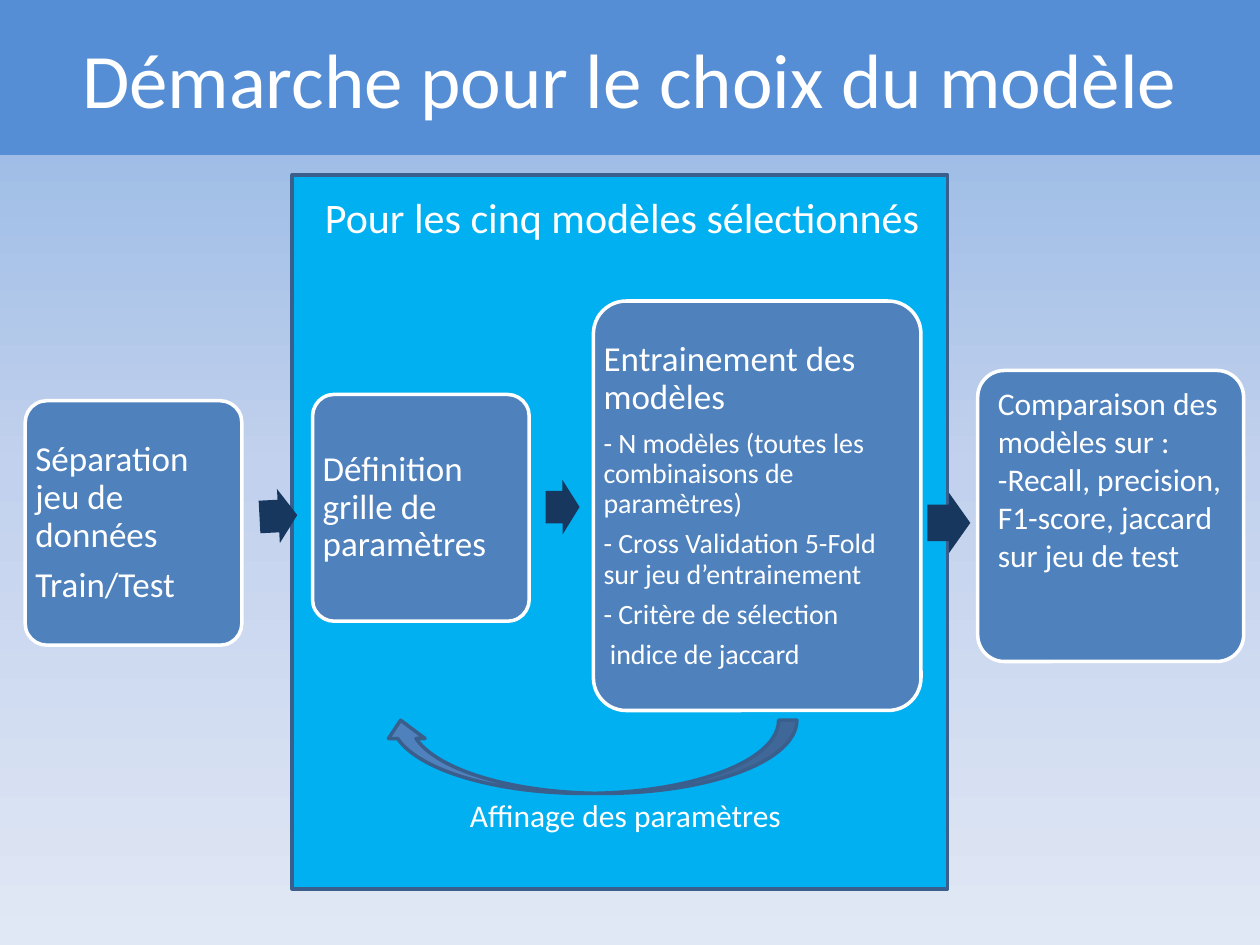
from copy import deepcopy

from pptx import Presentation
from pptx.dml.color import RGBColor
from pptx.enum.shapes import MSO_SHAPE
from pptx.enum.text import MSO_ANCHOR, MSO_AUTO_SIZE, PP_ALIGN
from pptx.util import Pt

WHITE = RGBColor(0xFF, 0xFF, 0xFF)
BANNER_BLUE = RGBColor(0x55, 0x8E, 0xD5)
PANEL_BLUE = RGBColor(0x00, 0xB0, 0xF0)
BOX_BLUE = RGBColor(0x4F, 0x81, 0xBD)
OUTLINE_BLUE = RGBColor(0x3A, 0x5F, 0x8C)
ARROW_NAVY = RGBColor(0x17, 0x37, 0x5E)
SKY_COLORS = (
    RGBColor(0x8E, 0xB4, 0xE3),
    RGBColor(0xC2, 0xD1, 0xED),
    RGBColor(0xE1, 0xE8, 0xF5),
)
CORNER = 0.1
CORNER_TEXT_INSET = 0.29
STEP_MARGIN = 5.76


def write_text(frame, paragraphs, size, align=PP_ALIGN.LEFT, anchor=MSO_ANCHOR.TOP,
               line_spacing=1.0, after_ratio=0, detail_size=None):
    frame.word_wrap = True
    frame.auto_size = MSO_AUTO_SIZE.NONE
    frame.vertical_anchor = anchor
    for index, text in enumerate(paragraphs):
        paragraph = frame.add_paragraph() if index else frame.paragraphs[0]
        paragraph.text = text
        paragraph.alignment = align
        paragraph.line_spacing = line_spacing
        points = detail_size if index and detail_size else size
        paragraph.space_before = Pt(0)
        paragraph.space_after = Pt(after_ratio * points)
        for run in paragraph.runs:
            run.font.name = "Calibri"
            run.font.size = Pt(points)
            run.font.color.rgb = WHITE


class SlideBuilder:
    def __init__(self, slide, line_width=2):
        self.slide = slide
        self.line_width = line_width

    def background(self, colors):
        fill = self.slide.background.fill
        fill.gradient()
        fill.gradient_angle = 270
        first_stop = fill._fill._gradFill.gsLst[0]
        first_stop.addnext(deepcopy(first_stop))
        for index, (stop, color) in enumerate(zip(fill.gradient_stops, colors)):
            stop.position = index / (len(colors) - 1)
            stop.color.rgb = color

    def title(self, text, width, height):
        title = self.slide.shapes.title
        title.left, title.top, title.width, title.height = Pt(0), Pt(0), Pt(width), Pt(height)
        title.fill.solid()
        title.fill.fore_color.rgb = BANNER_BLUE
        write_text(title.text_frame, [text], 44, align=PP_ALIGN.CENTER, anchor=MSO_ANCHOR.MIDDLE)

    def shape(self, kind, left, top, width, height, fill, line=None, rotation=0):
        shape = self.slide.shapes.add_shape(kind, Pt(left), Pt(top), Pt(width), Pt(height))
        shape.shadow.inherit = False
        shape.rotation = rotation
        shape.fill.solid()
        shape.fill.fore_color.rgb = fill
        if line is None:
            shape.line.fill.background()
        else:
            shape.line.color.rgb = line
            shape.line.width = Pt(self.line_width)
        return shape

    def box(self, left, top, width, height, paragraphs, size, **text_format):
        box = self.shape(MSO_SHAPE.ROUNDED_RECTANGLE, left, top, width, height, BOX_BLUE, WHITE)
        box.adjustments[0] = CORNER
        write_text(box.text_frame, paragraphs, size, **text_format)
        return box

    def step(self, left, top, width, height, paragraphs):
        box = self.box(left, top, width, height, paragraphs, 20, anchor=MSO_ANCHOR.MIDDLE,
                       line_spacing=0.9, after_ratio=0.35,
                       detail_size=16 if len(paragraphs) > 2 else None)
        margin = Pt(max(0, STEP_MARGIN - CORNER_TEXT_INSET * CORNER * min(width, height)))
        frame = box.text_frame
        frame.margin_left = frame.margin_right = margin
        frame.margin_top = frame.margin_bottom = margin

    def arrow(self, left, top, width, height, rotation=0):
        arrow = self.shape(MSO_SHAPE.RIGHT_ARROW, left, top, width, height, ARROW_NAVY,
                           rotation=rotation)
        arrow.adjustments[0] = 0.6
        arrow.adjustments[1] = 0.5

    def label(self, text, left, top, width, height, size, **text_format):
        label = self.slide.shapes.add_textbox(Pt(left), Pt(top), Pt(width), Pt(height))
        write_text(label.text_frame, [text], size, **text_format)


def main():
    presentation = Presentation()
    presentation.slide_width = Pt(720)
    presentation.slide_height = Pt(540)
    builder = SlideBuilder(presentation.slides.add_slide(presentation.slide_layouts[5]))

    builder.background(SKY_COLORS)
    builder.title("Démarche pour le choix du modèle", 720, 88.5)
    builder.shape(MSO_SHAPE.RECTANGLE, 167, 100, 374.5, 408, PANEL_BLUE, OUTLINE_BLUE)

    builder.step(14.4, 229, 123.8, 139.7, ["Séparation jeu de données", "Train/Test"])
    builder.arrow(148.3, 279.4, 21.6, 31, rotation=357)
    builder.step(178.6, 225.4, 123.8, 129.6, ["Définition grille de paramètres"])
    builder.arrow(311.8, 274.3, 19.4, 31, rotation=359.7)
    builder.step(339.1, 172, 187.2, 234, [
        "Entrainement des modèles",
        "- N modèles (toutes les combinaisons de paramètres)",
        "- Cross Validation 5-Fold sur jeu d’entrainement",
        "- Critère de sélection",
        " indice de jaccard",
    ])
    builder.box(558.7, 211.7, 152, 166.3, [
        "Comparaison des modèles sur :\v-Recall, precision, F1-score, jaccard sur jeu de test",
    ], 18)
    builder.arrow(530, 281.5, 24.5, 34.6)

    builder.label("Pour les cinq modèles sélectionnés", 178.6, 105.8, 357.1, 36, 24)
    builder.shape(MSO_SHAPE.CURVED_LEFT_ARROW, 316, 314, 41.8, 236.9, BOX_BLUE, OUTLINE_BLUE,
                  rotation=90)
    builder.label("Affinage des paramètres", 195.8, 451.4, 323.3, 28.8, 18,
                  align=PP_ALIGN.CENTER)

    presentation.save("out.pptx")


if __name__ == "__main__":
    main()
